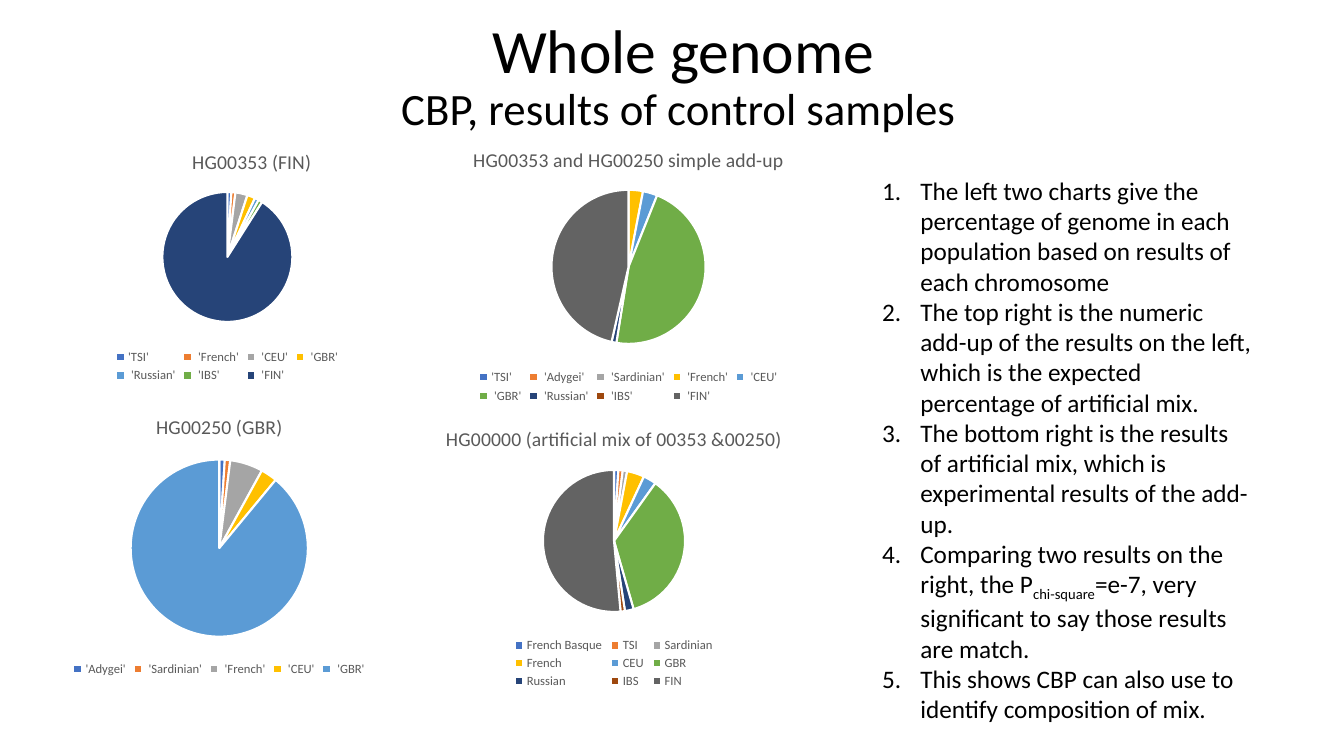
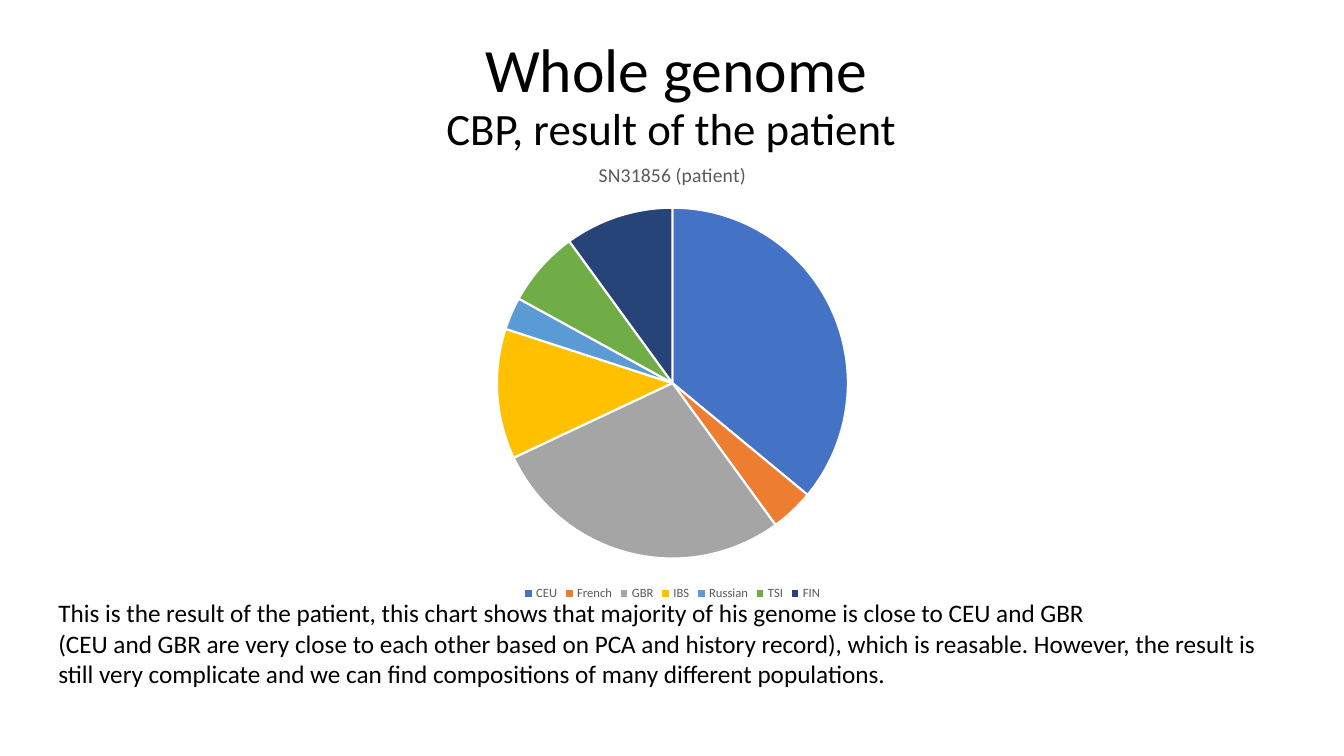
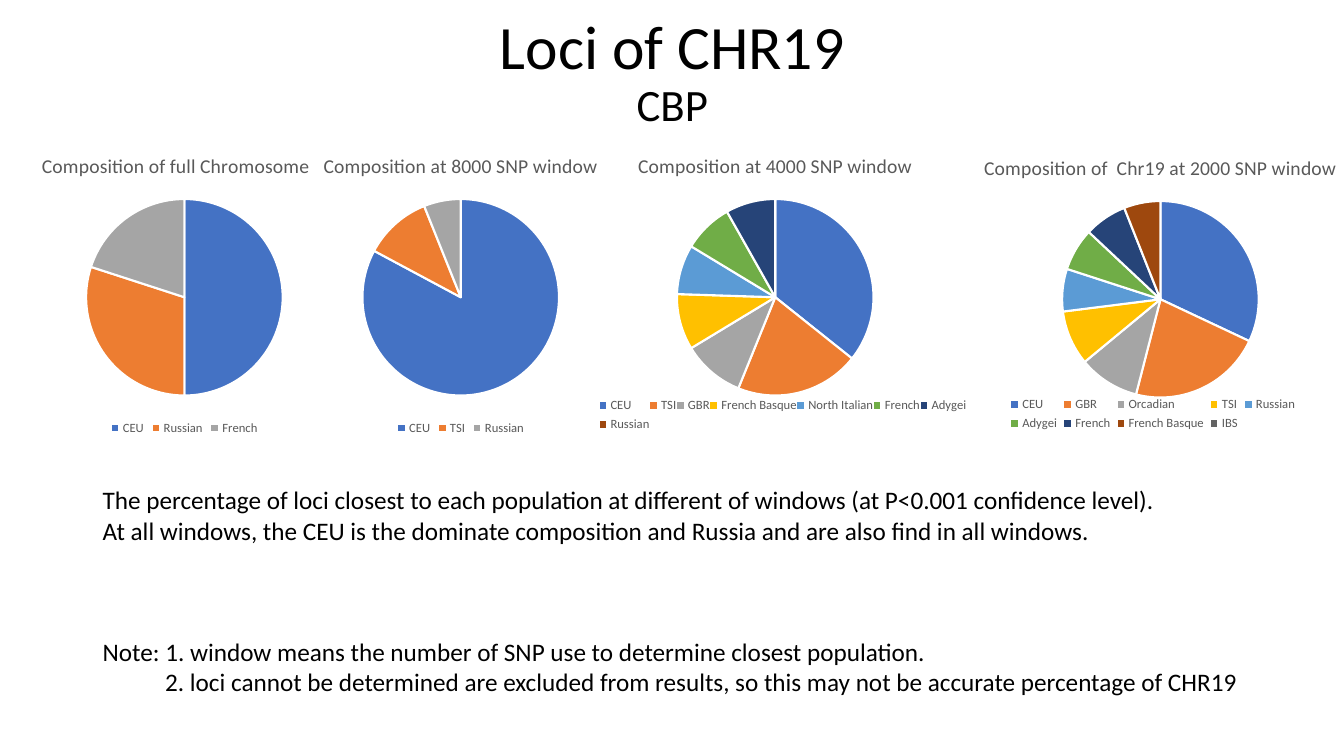
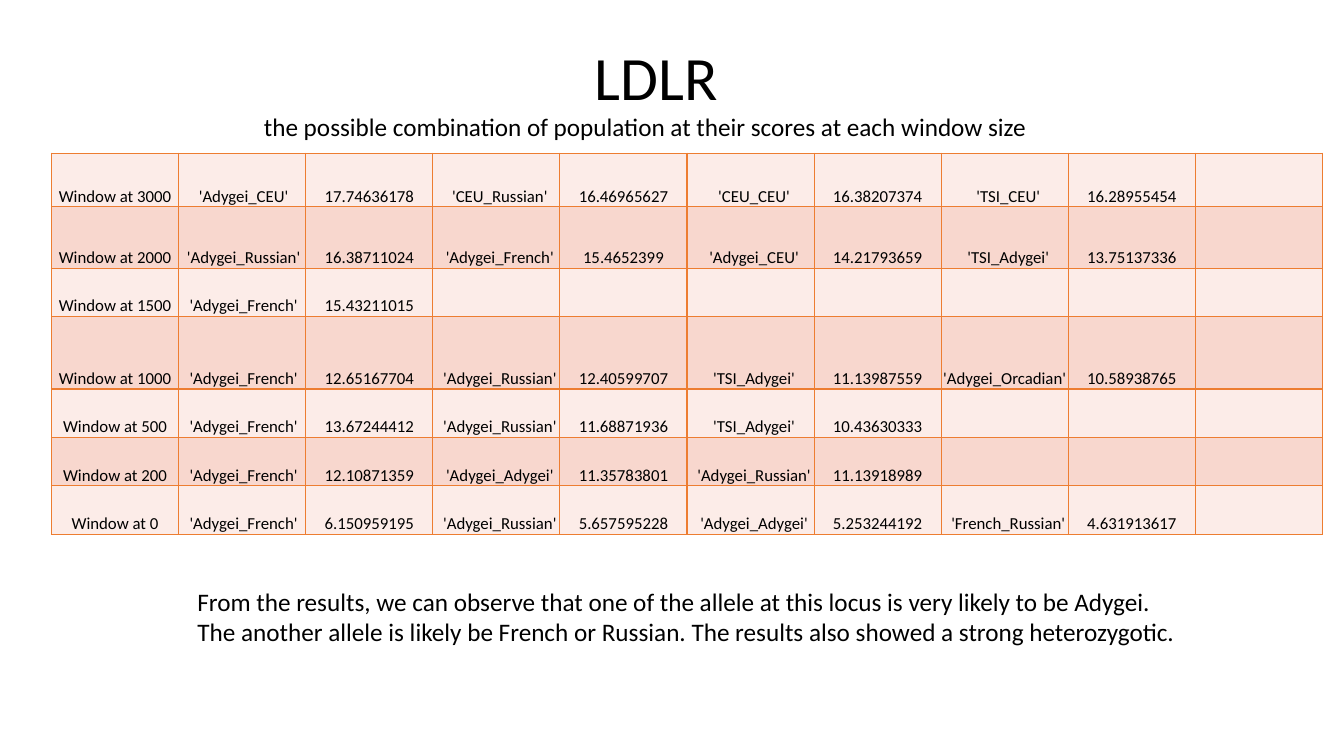
from lxml import etree
from pptx import Presentation, util as u
from pptx.chart.data import CategoryChartData
from pptx.dml.color import RGBColor
from pptx.enum import chart as ch, text as t
from pptx.oxml import ns

# Shared look
W, H = u.Inches(13.33), u.Inches(7.5)
COLORS = {"text": "000000", "label": "595959", "gap": "FFFFFF",
          "border": "ED7D31", "light": "FCECE8", "dark": "F8D7CE"}
SLICES = ["4472C4", "ED7D31", "A5A5A5", "FFC000", "5B9BD5",
          "70AD47", "264478", "9E480E", "636363"]
TITLE = {"size": u.Pt(44), "name": "Calibri"}
SUBTITLE = {"size": u.Pt(32), "name": "Calibri"}
BODY = {"size": u.Pt(18), "name": "Calibri"}
CELL = {"size": u.Pt(12), "name": "Calibri"}
CHART_TITLE = {"size": u.Pt(14), "name": "Calibri", "bold": False}
LEGEND = {"size": u.Pt(9), "name": "Calibri"}
CHART = {"size": u.Pt(10), "name": "Calibri"}


def rgb(name):
    return RGBColor.from_string(COLORS.get(name, name))


def style(font, values, color="text"):
    for key, value in values.items():
        setattr(font, key, value)
    font.color.rgb = rgb(color)


def place(x, y, w, h):
    """Turn percentages of the slide into lengths."""
    return [round(side * share / 100) for side, share in zip((W, H, W, H), (x, y, w, h))]


# Text
def add_run(p, text, values):
    r = p.add_run()
    r.text = text
    style(r.font, values)
    return r


def add_box(s, box):
    sp = s.shapes.add_textbox(*place(*box))
    sp.text_frame.word_wrap = True
    return sp.text_frame


def add_title(s, x, y, title, subtitle=None):
    tf = add_box(s, (x, y, 86.25, 19.33))
    tf.vertical_anchor = t.MSO_ANCHOR.MIDDLE
    p = tf.paragraphs[0]
    p.alignment, p.line_spacing = t.PP_ALIGN.CENTER, 0.9
    add_run(p, title, TITLE)
    if subtitle:
        p.add_line_break()
        add_run(p, subtitle, SUBTITLE)


def add_text(s, box, lines):
    """Add one paragraph per line; a tuple holds base, subscript and rest."""
    tf = add_box(s, box)
    for i, line in enumerate(lines):
        p = tf.paragraphs[0] if i == 0 else tf.add_paragraph()
        for j, part in enumerate(line if isinstance(line, tuple) else (line,)):
            r = add_run(p, part, BODY)
            if j == 1:
                r.font._element.set("baseline", "-25000")
    return tf


def indent(p, left, first=0):
    pPr = p._p.get_or_add_pPr()
    pPr.set("marL", str(u.Inches(left)))
    pPr.set("indent", str(u.Inches(first)))
    return pPr


def number(tf):
    for p in tf.paragraphs:
        pPr = indent(p, 0.38, -0.38)
        etree.SubElement(pPr, ns.qn("a:buAutoNum"), type="arabicPeriod")


# Charts
def set_layout(parent, index, inner=False, **box):
    """Place a chart part by shares of the chart's size."""
    for old in parent.findall(ns.qn("c:layout")):
        parent.remove(old)
    layout = etree.Element(ns.qn("c:layout"))
    manual = etree.SubElement(layout, ns.qn("c:manualLayout"))
    values = {"layoutTarget": "inner"} if inner else {}
    values.update(xMode="edge", yMode="edge", **box)
    for key, value in values.items():
        etree.SubElement(manual, ns.qn("c:" + key), val=str(value))
    parent.insert(index, layout)


def add_pie(s, box, title, cats, vals, pie, title_at=None, legend_box=None):
    """Add a pie; pie gives its middle and diameter as shares of the height."""
    data = CategoryChartData()
    data.categories = cats
    data.add_series("Series 1", vals)
    x, y, w, h = place(*box)
    chart = s.shapes.add_chart(ch.XL_CHART_TYPE.PIE, x, y, w, h, data).chart
    style(chart.font, CHART)

    # Title and legend
    chart.has_title = True
    add_run(chart.chart_title.text_frame.paragraphs[0], title, CHART_TITLE).font.color.rgb = rgb("label")
    chart.has_legend = True
    legend = chart.legend
    legend.position = ch.XL_LEGEND_POSITION.BOTTOM
    legend.include_in_layout = False
    style(legend.font, LEGEND, "label")
    if title_at:
        set_layout(chart.chart_title._element, 1, x=title_at[0], y=title_at[1])
    if legend_box:
        set_layout(legend._element, 1, **dict(zip("xywh", legend_box)))

    # Slices
    plot = chart.plots[0]
    plot.vary_by_categories = True
    for i in range(len(cats)):
        fmt = plot.series[0].points[i].format
        fmt.fill.solid()
        fmt.fill.fore_color.rgb = rgb(SLICES[i])
        fmt.line.color.rgb = rgb("gap")
        fmt.line.width = u.Pt(1.5)
    middle, size = pie
    share = size * h / w
    set_layout(plot._element.getparent(), 0, inner=True, x=round(0.5 - share / 2, 4),
               y=round(middle - size / 2, 4), w=round(share, 4), h=size)


# Table
def add_border(cell):
    tcPr = cell._tc.get_or_add_tcPr()
    for side in "LRTB":
        ln = etree.SubElement(tcPr, ns.qn("a:ln" + side), w=str(u.Pt(1)))
        fill = etree.SubElement(ln, ns.qn("a:solidFill"))
        etree.SubElement(fill, ns.qn("a:srgbClr"), val=COLORS["border"])


def add_score_table(s, box, heights, rows, n_cols=10):
    x, y, w, h = place(*box)
    table = s.shapes.add_table(len(rows), n_cols, x, y, w, h).table
    table.first_row = table.horz_banding = False
    for col in table.columns:
        col.width = w // n_cols
    for i, row in enumerate(rows):
        table.rows[i].height = u.Inches(heights[i])
        for j in range(n_cols):
            cell = table.cell(i, j)
            text = row[j] if j < len(row) else ""
            lead = 0.01
            if text.startswith("'") and len(text) < 17:
                lead = 0.04 if j == 1 else 0.08
            margins = {"left": lead, "right": 0.01, "top": 0.01, "bottom": 0}
            for side, value in margins.items():
                setattr(cell, "margin_" + side, u.Inches(value))
            cell.vertical_anchor = t.MSO_ANCHOR.BOTTOM
            add_border(cell)
            cell.fill.solid()
            cell.fill.fore_color.rgb = rgb("dark" if i % 2 else "light")
            if text:
                p = cell.text_frame.paragraphs[0]
                p.alignment = t.PP_ALIGN.CENTER
                add_run(p, text, CELL)


# Slides
def control_slide(s):
    add_title(s, 7.73, 0.67, "Whole genome", "CBP, results of control samples ")
    add_pie(s, (2.48, 17.47, 28.88, 33.73), "HG00353 (FIN)",
            ["'TSI'", " 'French'", " 'CEU'", " 'GBR'", " 'Russian'", " 'IBS'", " 'FIN'"],
            [1, 1, 3, 2, 1, 1, 91], (0.49, 0.51), title_at=(0.4, 0.05))
    add_pie(s, (28.13, 17.47, 37.28, 36.4), "HG00353 and HG00250 simple add-up",
            ["'TSI'", " 'Adygei'", " 'Sardinian'", " 'French'", " 'CEU'", " 'GBR'",
             " 'Russian'", " 'IBS'", " 'FIN'"],
            [0, 0, 0, 3, 3, 46, 1, 0, 46], (0.49, 0.56))
    add_pie(s, (28.13, 54.27, 35.11, 37.6), "HG00000 (artificial mix of 00353 &00250)",
            ["French Basque", "TSI", "Sardinian", "French", "CEU", "GBR", "Russian", "IBS", "FIN"],
            [1, 1, 1, 4, 3, 36, 2, 1, 52], (0.46, 0.5), legend_box=(0.28, 0.79, 0.44, 0.2))
    add_pie(s, (0.83, 52.8, 30.98, 37.2), "HG00250 (GBR)",
            ["'Adygei'", " 'Sardinian'", " 'French'", " 'CEU'", " 'GBR'"],
            [1, 1, 6, 3, 89], (0.53, 0.63))
    number(add_text(s, (64.89, 22.53, 29.11, 77), [
        "The left two charts give the percentage of genome in each population based on "
        "results of each chromosome",
        "The top right is the numeric add-up of the results on the left, which is the "
        "expected percentage of artificial mix.",
        "The bottom right is the results of artificial mix, which is experimental results "
        "of the add-up.",
        ("Comparing two results on the right, the P", "chi-square",
         "=e-7, very significant to say those results are match."),
        "This shows CBP can also use to identify composition of mix."]))


def patient_slide(s):
    add_title(s, 7.2, 3.2, "Whole genome", "CBP, result of the patient ")
    add_pie(s, (8.85, 18.93, 82.37, 61.07), "SN31856 (patient)",
            ["CEU", "French", "GBR", "IBS", "Russian", "TSI", "FIN"],
            [36, 4, 28, 12, 3, 7, 10], (0.52, 0.76))
    add_text(s, (3.6, 78.4, 93.62, 13.47), [
        "This is the result of the patient, this chart shows that majority of his genome "
        "is close to CEU and GBR",
        "(CEU and GBR are very close to each other based on PCA and history record), which "
        "is reasable. However, the result is still very complicate and we can find "
        "compositions of many different populations."])


def loci_slide(s):
    add_title(s, 6.9, 0.13, "Loci of CHR19", "CBP")
    windows = [
        (15.53, 18.13, "Composition at 8000 SNP window", ["CEU", "TSI", "Russian"],
         [82, 11, 6], {}),
        (67.59, 18.4, "Composition of  Chr19 at 2000 SNP window",
         ["CEU", "GBR", "Orcadian", "TSI", "Russian", "Adygei", "French", "French Basque", "IBS"],
         [32, 22, 10, 9, 7, 7, 7, 6, 0], {"legend_box": (0.19, 0.84, 0.59, 0.14)}),
        (-5.03, 18.13, "Composition of full Chromosome", ["CEU", "Russian", "French"],
         [50, 30, 20], {"title_at": (0.21, 0.04)}),
        (38.93, 18.13, "Composition at 4000 SNP window",
         ["CEU", "TSI", "GBR", "French Basque", "North Italian", "French", "Adygei", "Russian"],
         [35, 20, 10, 9, 8, 8, 8, 0], {"legend_box": (0.15, 0.85, 0.73, 0.14)}),
    ]
    for x, y, title, cats, vals, extra in windows:
        add_pie(s, (x, y, 37.51, 40), title, cats, vals, (0.53, 0.65), **extra)
    tf = add_text(s, (6.9, 63.47, 87.1, 29.6), [
        "The percentage of loci closest to each population at different of windows "
        "(at P<0.001 confidence level).",
        "At all windows, the CEU is the dominate composition and Russia and are also find "
        "in all windows.",
        "Note: 1. window means the number of SNP use to determine closest population.",
        "2. loci cannot be determined are excluded from results, so this may not be "
        "accurate percentage of CHR19"])
    tf.paragraphs[2].space_before = u.Pt(65)
    indent(tf.paragraphs[3], 0.62)


def ldlr_slide(s):
    add_title(s, 5.7, 0.93, "LDLR")
    add_score_table(s, (3.83, 20.27, 94.6, 50.4), [0.53, 0.61, 0.48, 0.72, 0.48, 0.48, 0.48], [
        ["Window at 3000", "'Adygei_CEU'", "17.74636178", "'CEU_Russian'", "16.46965627",
         "'CEU_CEU'", "16.38207374", "'TSI_CEU'", "16.28955454"],
        ["Window at 2000", "'Adygei_Russian'", "16.38711024", "'Adygei_French'", "15.4652399",
         "'Adygei_CEU'", "14.21793659", "'TSI_Adygei'", "13.75137336"],
        ["Window at 1500", "'Adygei_French'", "15.43211015"],
        ["Window at 1000", "'Adygei_French'", "12.65167704", "'Adygei_Russian'", "12.40599707",
         "'TSI_Adygei'", "11.13987559", "'Adygei_Orcadian'", "10.58938765"],
        ["Window at 500", "'Adygei_French'", "13.67244412", "'Adygei_Russian'", "11.68871936",
         "'TSI_Adygei'", "10.43630333"],
        ["Window at 200", "'Adygei_French'", "12.10871359", "'Adygei_Adygei'", "11.35783801",
         "'Adygei_Russian'", "11.13918989"],
        ["Window at 0", "'Adygei_French'", "6.150959195", "'Adygei_Russian'", "5.657595228",
         "'Adygei_Adygei'", "5.253244192", "'French_Russian'", "4.631913617"]])
    add_text(s, (18.9, 14.13, 59.86, 5.33), [
        "the possible combination of population at their scores at each window size"])
    add_text(s, (13.95, 76.93, 76.74, 9.47), [
        "From the results, we can observe that one of the allele at this locus is very "
        "likely to be Adygei.",
        "The another allele is likely be French or Russian. The results also showed a "
        "strong heterozygotic."])


def main():
    prs = Presentation()
    prs.slide_width, prs.slide_height = W, H
    for build in (control_slide, patient_slide, loci_slide, ldlr_slide):
        build(prs.slides.add_slide(prs.slide_layouts[6]))
    prs.save("out.pptx")


if __name__ == "__main__":
    main()
